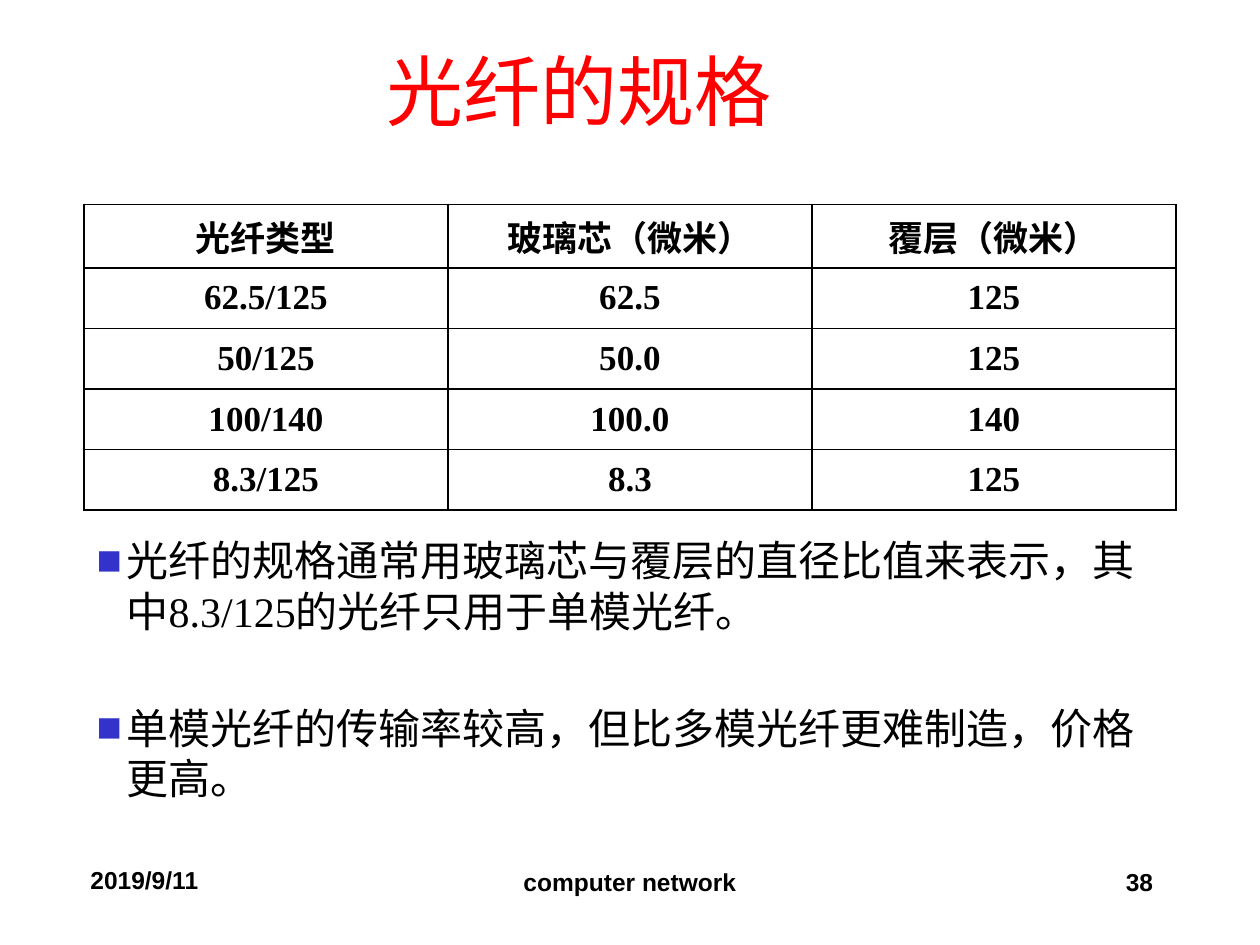
from lxml import etree
from pptx import Presentation
from pptx.dml.color import RGBColor
from pptx.enum import text
from pptx.oxml import ns
from pptx.util import Pt

TITLE = "光纤的规格"
FIBRES = [
    ("光纤类型", "玻璃芯（微米）", "覆层（微米）"),
    ("62.5/125", "62.5", "125"),
    ("50/125", "50.0", "125"),
    ("100/140", "100.0", "140"),
    ("8.3/125", "8.3", "125"),
]
POINTS = [
    "光纤的规格通常用玻璃芯与覆层的直径比值来表示，其中8.3/125的光纤只用于单模光纤。",
    "单模光纤的传输率较高，但比多模光纤更难制造，价格更高。",
]
LEFT, CENTER, RIGHT = text.PP_ALIGN.LEFT, text.PP_ALIGN.CENTER, text.PP_ALIGN.RIGHT
FOOTERS = [  # wording, left, top, width, alignment
    ("2019/9/11", 44.6, 491, 150, LEFT),
    ("computer network", 246, 492, 228, CENTER),
    ("38", 516, 492, 150, RIGHT),
]
BLACK, RED, BLUE = "000000", "FF0000", "3333CC"
SERIF, SANS = "Times New Roman", "Arial"
CONTENT_LEFT, CONTENT_WIDTH = 48, 624
ROW_HEIGHT = 34.6


def add_run(para, wording, size, font=SERIF, color=BLACK, bold=False):
    span = para.add_run()
    span.text = wording
    span.font.size = Pt(size)
    span.font.name = font
    span.font.bold = bold
    span.font.color.rgb = RGBColor.from_string(color)


def place(shape, left, top, width, height):
    shape.left, shape.top = Pt(left), Pt(top)
    shape.width, shape.height = Pt(width), Pt(height)


def add_borders(cell, color=BLACK, width=1):
    props = cell._tc.get_or_add_tcPr()
    for position, side in enumerate(("lnL", "lnR", "lnT", "lnB")):
        line = etree.Element(ns.qn(f"a:{side}"), w=str(Pt(width)))
        fill = etree.SubElement(line, ns.qn("a:solidFill"))
        etree.SubElement(fill, ns.qn("a:srgbClr"), val=color)
        props.insert(position, line)


def add_bullet(para, indent=17.2):
    props = para._p.get_or_add_pPr()
    props.set("marL", str(Pt(indent)))
    props.set("indent", str(-Pt(indent)))
    color = etree.SubElement(props, ns.qn("a:buClr"))
    etree.SubElement(color, ns.qn("a:srgbClr"), val=BLUE)
    etree.SubElement(props, ns.qn("a:buFont"), typeface=SANS)
    etree.SubElement(props, ns.qn("a:buChar"), char="■")


def add_title(page):
    title = page.shapes.title
    place(title, 15, 15, 631.5, 72)
    title.text_frame.vertical_anchor = text.MSO_ANCHOR.MIDDLE
    title.text_frame.auto_size = text.MSO_AUTO_SIZE.NONE
    para = title.text_frame.paragraphs[0]
    para.alignment = CENTER
    add_run(para, TITLE, 44, color=RED)


def add_fibre_table(page):
    rows, columns = len(FIBRES), len(FIBRES[0])
    table = page.shapes.add_table(
        rows, columns, Pt(CONTENT_LEFT), Pt(116.8),
        Pt(CONTENT_WIDTH), Pt(rows * ROW_HEIGHT)).table
    table.first_row = table.horz_banding = False
    for row, values in zip(table.rows, FIBRES):
        row.height = Pt(ROW_HEIGHT)
        for cell, value in zip(row.cells, values):
            cell.fill.background()
            cell.vertical_anchor = text.MSO_ANCHOR.MIDDLE
            add_borders(cell)
            para = cell.text_frame.paragraphs[0]
            para.alignment = CENTER
            add_run(para, value, 20, bold=True)


def add_points(page):
    body = page.placeholders[1]
    place(body, CONTENT_LEFT, 302, CONTENT_WIDTH, 173)
    frame = body.text_frame
    frame.auto_size = text.MSO_AUTO_SIZE.NONE
    for number, point in enumerate(POINTS):
        para = frame.add_paragraph() if number else frame.paragraphs[0]
        add_bullet(para)
        para.space_before = Pt(38 if number else 0)
        add_run(para, point, 24)


def add_footers(page):
    for wording, left, top, width, alignment in FOOTERS:
        box = page.shapes.add_textbox(Pt(left), Pt(top), Pt(width), Pt(36))
        box.text_frame.word_wrap = True
        para = box.text_frame.paragraphs[0]
        para.alignment = alignment
        add_run(para, wording, 14, SANS, bold=True)


def main():
    deck = Presentation()
    deck.slide_width, deck.slide_height = Pt(720), Pt(540)
    page = deck.slides.add_slide(deck.slide_layouts[1])
    add_title(page)
    add_fibre_table(page)
    add_points(page)
    add_footers(page)
    deck.save("out.pptx")


if __name__ == "__main__":
    main()
